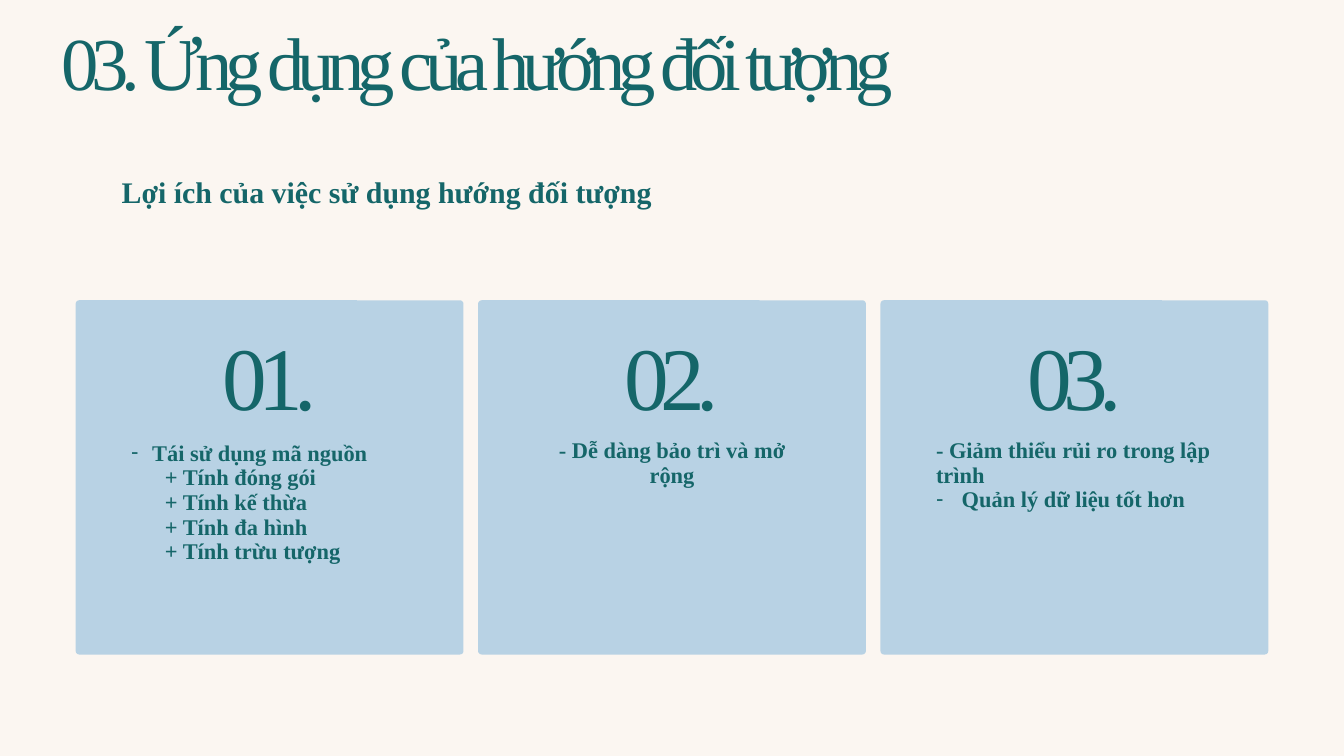
import pptx
import pptx.dml.color
import pptx.enum.shapes
import pptx.enum.text
import pptx.oxml.ns
import pptx.util
from dataclasses import dataclass
from lxml import etree

Cm = pptx.util.Cm
Align = pptx.enum.text.PP_ALIGN


@dataclass(frozen=True)
class Theme:
    font: str = "Times New Roman"
    background: str = "FBF6F1"
    ink: str = "156669"
    card: str = "B8D2E4"
    # Each role: size, bold, line spacing and letter spacing in points
    title: tuple = (80, False, 76.8, -7.7)
    number: tuple = (95.6, False, 91.7, -9.2)
    subtitle: tuple = (32, True, 32.6, 0)
    item: tuple = (24, True, 26.5, 0)


def rgb(value):
    return pptx.dml.color.RGBColor.from_string(value)


def set_all(target, values):
    for name, value in values.items():
        setattr(target, name, value)


class SlideBuilder:
    def __init__(self, slide, theme):
        self.slide = slide
        self.theme = theme
        fill = slide.background.fill
        fill.solid()
        fill.fore_color.rgb = rgb(theme.background)

    def card(self, left, top, width, height):
        panel = self.slide.shapes.add_shape(
            pptx.enum.shapes.MSO_SHAPE.ROUNDED_RECTANGLE,
            Cm(left), Cm(top), Cm(width), Cm(height))
        panel.adjustments[0] = 0.01
        panel.shadow.inherit = False
        panel.fill.solid()
        panel.fill.fore_color.rgb = rgb(self.theme.card)
        panel.line.fill.background()
        # Cards lie behind the placeholders
        self.slide.shapes._spTree.insert(2, panel._element)

    def textbox(self, box, text, role):
        holder = self.slide.shapes.add_textbox(*map(Cm, box))
        self.add_lines(holder, [(text, 0, 0, False)], role, Align.CENTER)

    def placeholder(self, index, box, lines, role, align=Align.LEFT):
        holder = self.slide.placeholders[index]
        set_all(holder, dict(zip(("left", "top", "width", "height"), map(Cm, box))))
        self.add_lines(holder, lines, role, align)

    def add_lines(self, holder, lines, role, align):
        """Fill a holder with lines of (text, level, indent in cm, bulleted)."""
        size, bold, leading, tracking = role
        frame = holder.text_frame
        set_all(frame, {
            "margin_left": 0, "margin_top": 0, "margin_right": 0, "margin_bottom": 0,
            "word_wrap": True,
            "auto_size": pptx.enum.text.MSO_AUTO_SIZE.NONE,
            "vertical_anchor": pptx.enum.text.MSO_ANCHOR.TOP,
        })
        for position, (text, level, indent, bulleted) in enumerate(lines):
            paragraph = frame.paragraphs[0] if position == 0 else frame.add_paragraph()
            properties = paragraph._p.get_or_add_pPr()
            properties.set("marL", str(Cm(indent)))
            properties.set("indent", str(-Cm(indent) if bulleted else 0))
            bullet = etree.SubElement(
                properties, pptx.oxml.ns.qn("a:buChar" if bulleted else "a:buNone"))
            if bulleted:
                bullet.set("char", "-")
            set_all(paragraph, {
                "level": level, "alignment": align,
                "line_spacing": pptx.util.Pt(leading),
                "space_before": pptx.util.Pt(0), "space_after": pptx.util.Pt(0),
            })
            run = paragraph.add_run()
            run.text = text
            set_all(run.font, {
                "name": self.theme.font, "size": pptx.util.Pt(size), "bold": bold})
            run.font.color.rgb = rgb(self.theme.ink)
            run._r.get_or_add_rPr().set("spc", str(round(tracking * 100)))


# Card contents: text, level, indent, bulleted
BENEFITS = [
    [("Tái sử dụng mã nguồn", 0, 0.79, True)]
    + [(f"+ Tính {trait}", 1, 1.27, False)
       for trait in ("đóng gói", "kế thừa", "đa hình", "trừu tượng")],
    [("- Dễ dàng bảo trì và mở rộng", 0, 0, False)],
    [("- Giảm thiểu rủi ro trong lập trình", 0, 0, False),
     ("Quản lý dữ liệu tốt hơn", 0, 0.97, True)],
]
LIST_TOPS = [16.66, 16.56, 16.56]
LIST_HEIGHTS = [5.56, 0.91, 2.77]
LIST_ALIGNS = [Align.LEFT, Align.CENTER, Align.LEFT]
CARD_LEFT, CARD_TOP, CARD_WIDTH, CARD_HEIGHT = 2.86, 11.35, 14.66, 13.39
CARD_GAP = 0.55
NUMBER_WIDTH, LIST_WIDTH = 4.85, 10.46


def main():
    deck = pptx.Presentation()
    deck.slide_width = Cm(50.8)
    deck.slide_height = deck.slide_width * 9 // 16
    theme = Theme()
    # The comparison layout offers a title and four text bodies
    builder = SlideBuilder(deck.slides.add_slide(deck.slide_layouts[4]), theme)

    # Heading
    builder.placeholder(0, (0, 1.27, 36.04, 2.74),
                        [("03. Ứng dụng của hướng đối tượng", 0, 0, False)],
                        theme.title, Align.CENTER)
    builder.placeholder(1, (4.6, 6.78, 21.64, 1.17),
                        [("Lợi ích của việc sử dụng hướng đối tượng", 0, 0, False)],
                        theme.subtitle)

    # Numbered benefit cards
    for column, benefits in enumerate(BENEFITS):
        left = CARD_LEFT + column * (CARD_WIDTH + CARD_GAP)
        centre = left + CARD_WIDTH / 2
        builder.card(left, CARD_TOP, CARD_WIDTH, CARD_HEIGHT)
        builder.textbox((centre - NUMBER_WIDTH / 2, 12.95, NUMBER_WIDTH, 3.28),
                        f"{column + 1:02}.", theme.number)
        builder.placeholder(
            column + 2,
            (centre - LIST_WIDTH / 2, LIST_TOPS[column], LIST_WIDTH, LIST_HEIGHTS[column]),
            benefits, theme.item, LIST_ALIGNS[column])

    deck.save("out.pptx")


if __name__ == "__main__":
    main()
